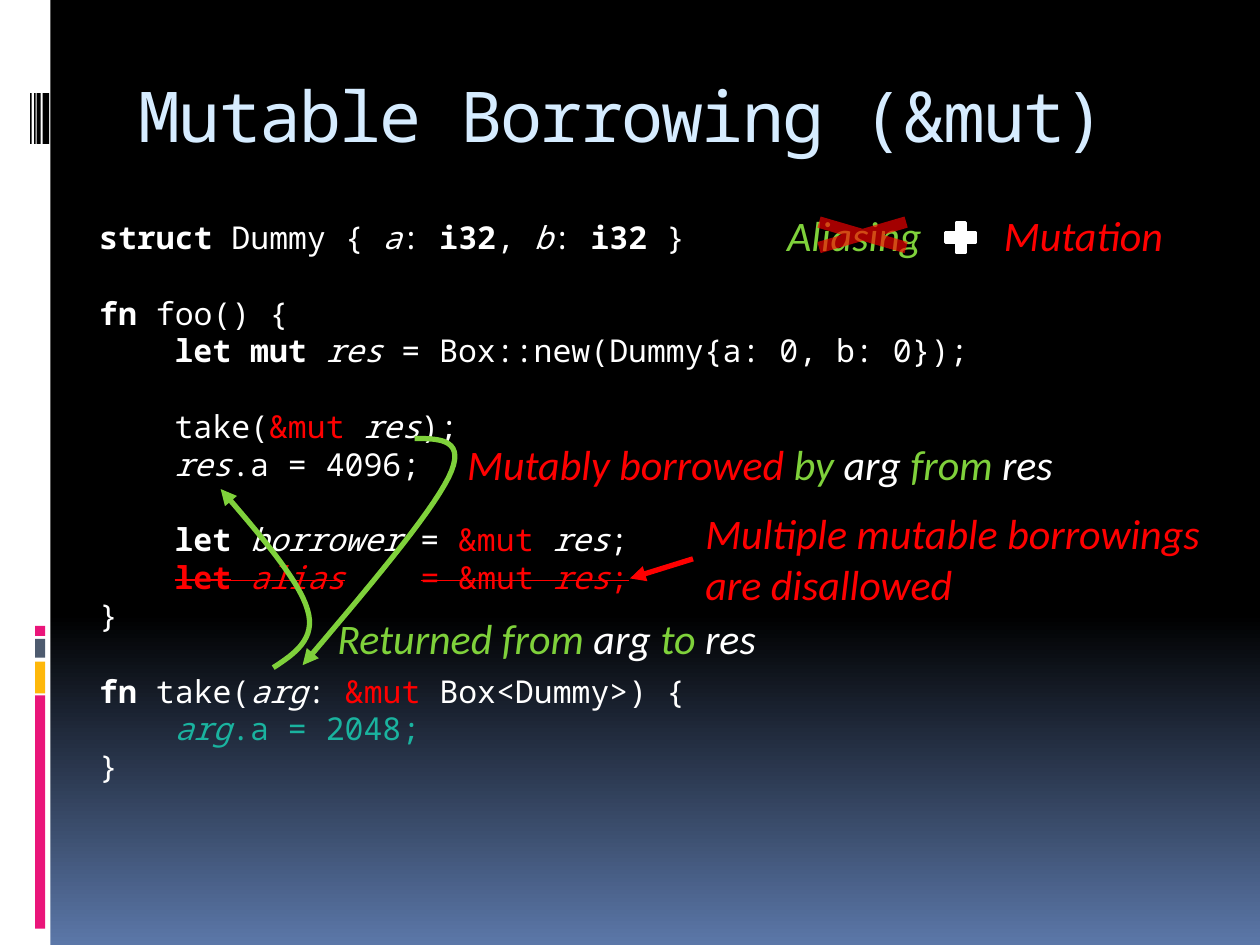
from pptx import Presentation
from pptx.dml.color import RGBColor
from pptx.enum.shapes import MSO_CONNECTOR, MSO_SHAPE
from pptx.enum.text import MSO_ANCHOR, MSO_AUTO_SIZE, PP_ALIGN
from pptx.oxml.ns import qn
from pptx.util import Cm, Pt
from lxml.etree import SubElement

COLORS = {
    "white": "FFFFFF", "black": "000000", "red": "FF0000", "green": "7FD13B",
    "teal": "1AB39F", "ice": "D6ECFF", "pink": "EA157A", "amber": "FEB80A",
    "slate": "4E5B6F", "blue": "5B77A8",
}
CODE_FONT, NOTE_FONT = "Noto Sans Mono", "Calibri"
CODE_LINE = Pt(21.6)
CODE_TABS = (Cm(1.52), Cm(6.48))  # block indent, column of the equals sign

# Each line: blank lines before it, then (text, style) runs
CODE = [
    (0, [("struct ", "bold"), ("Dummy { ", ""), ("a", "italic"), (": ", ""),
         ("i32", "bold"), (", ", ""), ("b", "italic"), (": ", ""),
         ("i32", "bold"), (" }", "")]),
    (1, [("fn ", "bold"), ("foo() {", "")]),
    (0, [("\t", ""), ("let mut ", "bold"), ("res ", "italic"),
         ("= Box::new(Dummy{a: 0, b: 0});", "")]),
    (1, [("\ttake(", ""), ("&mut ", "red"), ("res", "italic"), (");", "")]),
    (0, [("\t", ""), ("res", "italic"), (".a = 4096;", "")]),
    (1, [("\t", ""), ("let ", "bold"), ("borrower", "italic"), (" = ", ""),
         ("&mut ", "red"), ("res", "italic"), (";", "")]),
    (0, [("\t", ""), ("let", "bold red strike"), (" ", "red strike"),
         ("alias\t", "italic red strike"), ("= &mut ", "red strike"),
         ("res", "italic red strike"), (";", "red strike")]),
    (0, [("}", "")]),
    (1, [("fn", "bold"), (" take(", ""), ("arg", "italic"), (": ", ""),
         ("&mut ", "red"), ("Box<Dummy>) {", "")]),
    (0, [("\t", ""), ("arg", "italic teal"), (".a = 2048;", "teal")]),
    (0, [("}", "")]),
]


def rgb(name):
    return RGBColor.from_string(COLORS[name])


def format_run(run, font, size, style):
    words = style.split()
    run.font.name, run.font.size = font, Pt(size)
    run.font.bold, run.font.italic = "bold" in words, "italic" in words
    run.font.color.rgb = rgb(next((w for w in words if w in COLORS), "white"))
    if "strike" in words:
        run._r.get_or_add_rPr().set("strike", "sngStrike")


def add_runs(paragraph, runs, font, size):
    for text, style in runs:
        run = paragraph.add_run()
        run.text = text
        format_run(run, font, size, style)


def add_block(slide, color, left, top, width, height, kind=MSO_SHAPE.RECTANGLE):
    block = slide.shapes.add_shape(kind, Cm(left), Cm(top), Cm(width), Cm(height))
    block.shadow.inherit = False
    block.fill.solid()
    block.fill.fore_color.rgb = rgb(color)
    block.line.fill.background()
    return block


def add_note(slide, left, top, width, lines, height=1.27):
    note = slide.shapes.add_textbox(Cm(left), Cm(top), Cm(width), Cm(height))
    frame = note.text_frame
    frame.word_wrap = False
    frame.auto_size = MSO_AUTO_SIZE.SHAPE_TO_FIT_TEXT
    for index, runs in enumerate(lines):
        paragraph = frame.add_paragraph() if index else frame.paragraphs[0]
        add_runs(paragraph, [(t, s + " italic") for t, s in runs], NOTE_FONT, 24)
    return note


def style_arrow(arrow, color):
    arrow.line.color.rgb = rgb(color)
    arrow.line.width = Pt(3)
    SubElement(arrow.line._get_or_add_ln(), qn("a:tailEnd"), type="triangle")


def bezier(p0, p1, p2, p3, steps=16):
    for step in range(1, steps + 1):
        t = step / steps
        weights = ((1 - t) ** 3, 3 * t * (1 - t) ** 2, 3 * t * t * (1 - t), t ** 3)
        yield tuple(Cm(sum(w * p[axis] for w, p in zip(weights, (p0, p1, p2, p3))))
                    for axis in (0, 1))


def add_curved_arrow(slide, color, points):
    builder = slide.shapes.build_freeform(Cm(points[0][0]), Cm(points[0][1]))
    for start in range(0, len(points) - 1, 3):
        builder.add_line_segments(bezier(*points[start:start + 4]), close=False)
    arrow = builder.convert_to_shape()
    arrow.shadow.inherit = False
    arrow.fill.background()
    style_arrow(arrow, color)


def add_background(slide):
    fill = slide.background.fill
    fill.gradient()
    fill.gradient_angle = 270
    for stop, position, color in zip(fill.gradient_stops, (0.65, 1), ("black", "blue")):
        stop.position = position
        stop.color.rgb = rgb(color)


def add_side_rail(slide):
    add_block(slide, "white", 0, 0, 1.02, 19.05)
    for color, top, height in (("pink", 14.02, 4.7), ("amber", 13.34, 0.64),
                               ("slate", 12.88, 0.38), ("pink", 12.62, 0.2)):
        add_block(slide, color, 0.71, top, 0.2, height)
    for left, width in ((0.86, 0.13), (0.74, 0.08), (0.69, 0.03), (0.61, 0.03)):
        add_block(slide, "black", left, 1.88, width, 1.02)


def add_title(slide):
    title = slide.shapes.title
    title.left, title.top, title.width, title.height = Cm(2.54), Cm(1.33), Cm(21.59), Cm(2.54)
    frame = title.text_frame
    frame.text = "Mutable Borrowing (&mut)"
    frame.vertical_anchor = MSO_ANCHOR.TOP
    frame.auto_size = MSO_AUTO_SIZE.NONE
    paragraph = frame.paragraphs[0]
    paragraph.alignment = PP_ALIGN.LEFT
    format_run(paragraph.runs[0], CODE_FONT, 40, "ice")
    paragraph.runs[0]._r.get_or_add_rPr().set("spc", "-100")


def add_code(slide):
    listing = slide.shapes.add_textbox(Cm(1.75), Cm(4.27), Cm(20.93), Cm(11.79))
    frame = listing.text_frame
    frame.word_wrap = True
    for index, (gap, runs) in enumerate(CODE):
        paragraph = frame.add_paragraph() if index else frame.paragraphs[0]
        paragraph.line_spacing = CODE_LINE
        paragraph.space_before = gap * CODE_LINE
        tabs = SubElement(paragraph._p.get_or_add_pPr(), qn("a:tabLst"))
        for position in CODE_TABS:
            SubElement(tabs, qn("a:tab"), pos=str(int(position)), algn="l")
        add_runs(paragraph, runs, CODE_FONT, 18)


def add_rule(slide):
    # Aliasing, crossed out, plus mutation
    add_note(slide, 15.62, 4.09, 3.25, [[("Aliasing", "green")]])
    plus = add_block(slide, "white", 18.95, 4.37, 0.84, 0.84, MSO_SHAPE.MATH_PLUS)
    plus.line.color.rgb = rgb("white")
    plus.line.width = Pt(1.5)
    add_note(slide, 19.99, 4.09, 3.76, [[("Mutation", "red")]])
    cross = add_block(slide, "red", 15.7, 4.24, 3.38, 0.99, MSO_SHAPE.MATH_MULTIPLY)
    tint = cross._element.spPr.find(qn("a:solidFill"))[0]
    SubElement(tint, qn("a:alpha"), val="64000")


def add_borrow_notes(slide):
    add_note(slide, 9.17, 8.71, 12.45, [[
        ("Mutably borrowed", "red"), (" by ", "green"), ("arg ", "white"),
        ("from ", "green"), ("res", "white")]])
    add_curved_arrow(slide, "green", [
        (8.36, 8.84), (8.89, 8.84), (9.42, 8.86), (9.04, 9.63),
        (8.66, 10.39), (7.39, 11.89), (6.1, 13.41)])
    add_note(slide, 6.55, 12.22, 9.07, [[
        ("Returned from ", "green"), ("arg ", "white"), ("to ", "green"), ("res", "white")]])
    add_curved_arrow(slide, "green", [
        (5.51, 13.46), (5.94, 13.18), (6.38, 12.88), (6.2, 12.29),
        (6.02, 11.68), (5.23, 10.77), (4.45, 9.86)])

    # Warning that points at the struck line
    warning = add_note(slide, 13.97, 10.11, 10.59, [
        [("Multiple mutable borrowings", "red")], [("are disallowed", "red")]], 2.31)
    pointer = slide.shapes.add_connector(
        MSO_CONNECTOR.STRAIGHT, Cm(13.97), Cm(11.27), Cm(12.7), Cm(11.66))
    pointer.begin_connect(warning, 1)
    style_arrow(pointer, "red")
    SubElement(pointer._element.spPr, qn("a:effectLst"))


def main():
    presentation = Presentation()
    presentation.slide_width, presentation.slide_height = Cm(25.4), Cm(19.05)
    slide = presentation.slides.add_slide(presentation.slide_layouts[5])
    add_background(slide)
    add_side_rail(slide)
    add_title(slide)
    add_rule(slide)
    add_code(slide)
    add_borrow_notes(slide)
    presentation.save("out.pptx")


if __name__ == "__main__":
    main()
